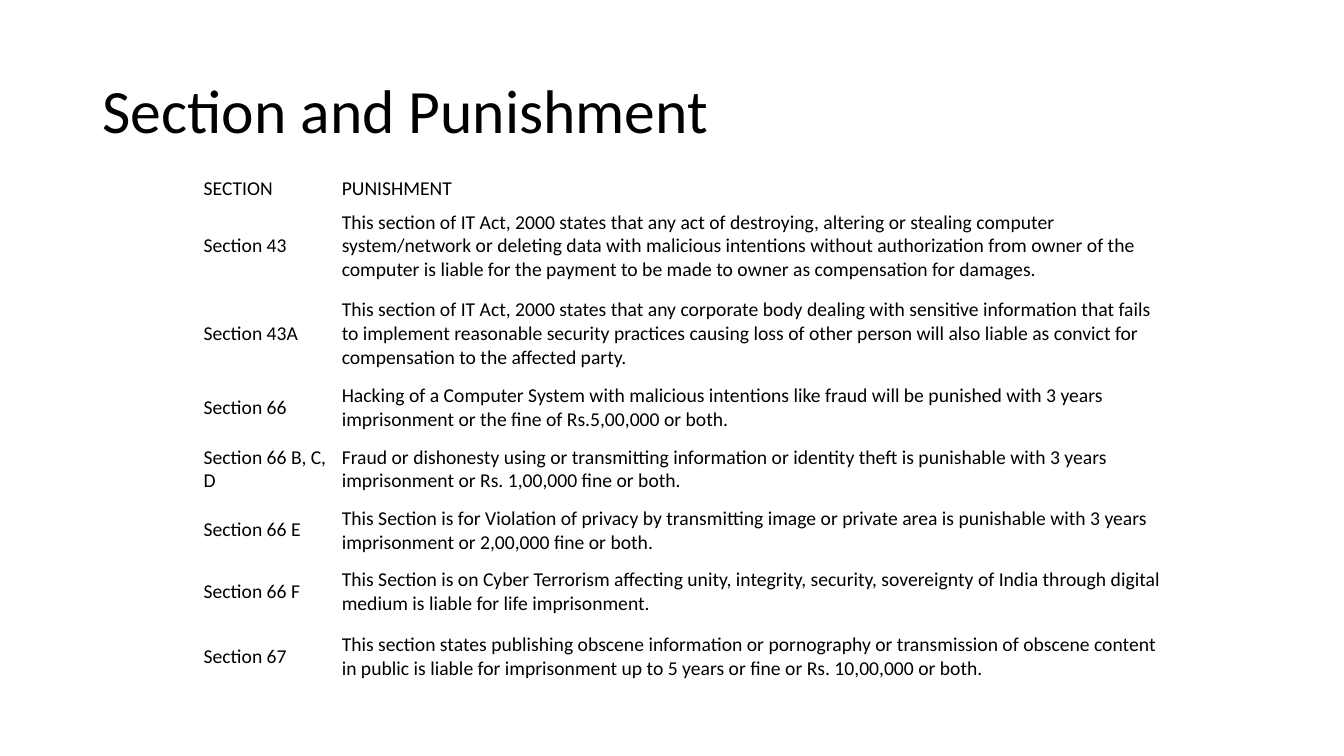
from pptx import Presentation
from pptx.dml.color import RGBColor
from pptx.enum.text import MSO_ANCHOR
from pptx.util import Inches, Pt

MIDDLE = MSO_ANCHOR.MIDDLE
FONT = "Calibri"
BLACK, WHITE = "000000", "FFFFFF"

COLUMN_WIDTHS = [1.37, 8.27]
ROW_HEIGHTS = [0.27, 0.88, 0.86, 0.6, 0.6, 0.6, 0.6, 0.69]
ROWS = [
    ("SECTION", "PUNISHMENT"),
    ("Section 43",
     "This section of IT Act, 2000 states that any act of destroying, altering or "
     "stealing computer system/network or deleting data with malicious intentions "
     "without authorization from owner of the computer is liable for the payment to "
     "be made to owner as compensation for damages."),
    ("Section 43A",
     "This section of IT Act, 2000 states that any corporate body dealing with "
     "sensitive information that fails to implement reasonable security practices "
     "causing loss of other person will also liable as convict for compensation to "
     "the affected party."),
    ("Section 66",
     "Hacking of a Computer System with malicious intentions like fraud will be "
     "punished with 3 years imprisonment or the fine of Rs.5,00,000 or both."),
    ("Section 66 B, C, D",
     "Fraud or dishonesty using or transmitting information or identity theft is "
     "punishable with 3 years imprisonment or Rs. 1,00,000 fine or both."),
    ("Section 66 E",
     "This Section is for Violation of privacy by transmitting image or private area "
     "is punishable with 3 years imprisonment or 2,00,000 fine or both."),
    ("Section 66 F",
     "This Section is on Cyber Terrorism affecting unity, integrity, security, "
     "sovereignty of India through digital medium is liable for life imprisonment."),
    ("Section 67",
     "This section states publishing obscene information or pornography or "
     "transmission of obscene content in public is liable for imprisonment up to 5 "
     "years or fine or Rs. 10,00,000 or both."),
]


def color(hex_text):
    """Turn a hex string into a colour."""
    return RGBColor.from_string(hex_text)


def apply(target, formats):
    """Set each named format value on the target."""
    for name, value in formats.items():
        setattr(target, name, value)


def write(frame, text, size):
    """Write one black span into a text frame and return its paragraph."""
    para = frame.paragraphs[0]
    span = para.add_run()
    span.text = text
    apply(span.font, {"name": FONT, "size": Pt(size), "bold": False})
    span.font.color.rgb = color(BLACK)
    return para


def add_title(page, box, text):
    """Place the slide title in the given box."""
    frame = page.shapes.add_textbox(*map(Inches, box)).text_frame
    apply(frame, {"word_wrap": True, "vertical_anchor": MIDDLE})
    write(frame, text, 44).line_spacing = 0.9


def add_punishment_table(page, box, rows):
    """Place the table of sections and punishments in the given box."""
    table = page.shapes.add_table(len(rows), len(rows[0]), *map(Inches, box)).table
    apply(table, {"first_row": False, "horz_banding": False})
    for column, width in zip(table.columns, COLUMN_WIDTHS):
        column.width = Inches(width)
    for index, (row, height) in enumerate(zip(table.rows, ROW_HEIGHTS)):
        row.height = Inches(height)
        padding = Inches(0.07 if index else 0.02)
        for cell, text in zip(row.cells, rows[index]):
            apply(cell, {"vertical_anchor": MIDDLE,
                         "margin_left": Inches(0.05), "margin_right": Inches(0.05),
                         "margin_top": padding, "margin_bottom": padding})
            cell.fill.solid()
            cell.fill.fore_color.rgb = color(WHITE)
            write(cell.text_frame, text, 14)


def build_slide(deck):
    """Add the slide with its title and table."""
    page = deck.slides.add_slide(deck.slide_layouts[6])
    add_title(page, (0.92, 0.4, 11.5, 1.45), "Section and Punishment")
    table_box = (1.97, 1.73, sum(COLUMN_WIDTHS), sum(ROW_HEIGHTS))
    add_punishment_table(page, table_box, ROWS)


deck = Presentation()
apply(deck, {"slide_width": Inches(13.33), "slide_height": Inches(7.5)})
build_slide(deck)
deck.save("out.pptx")
